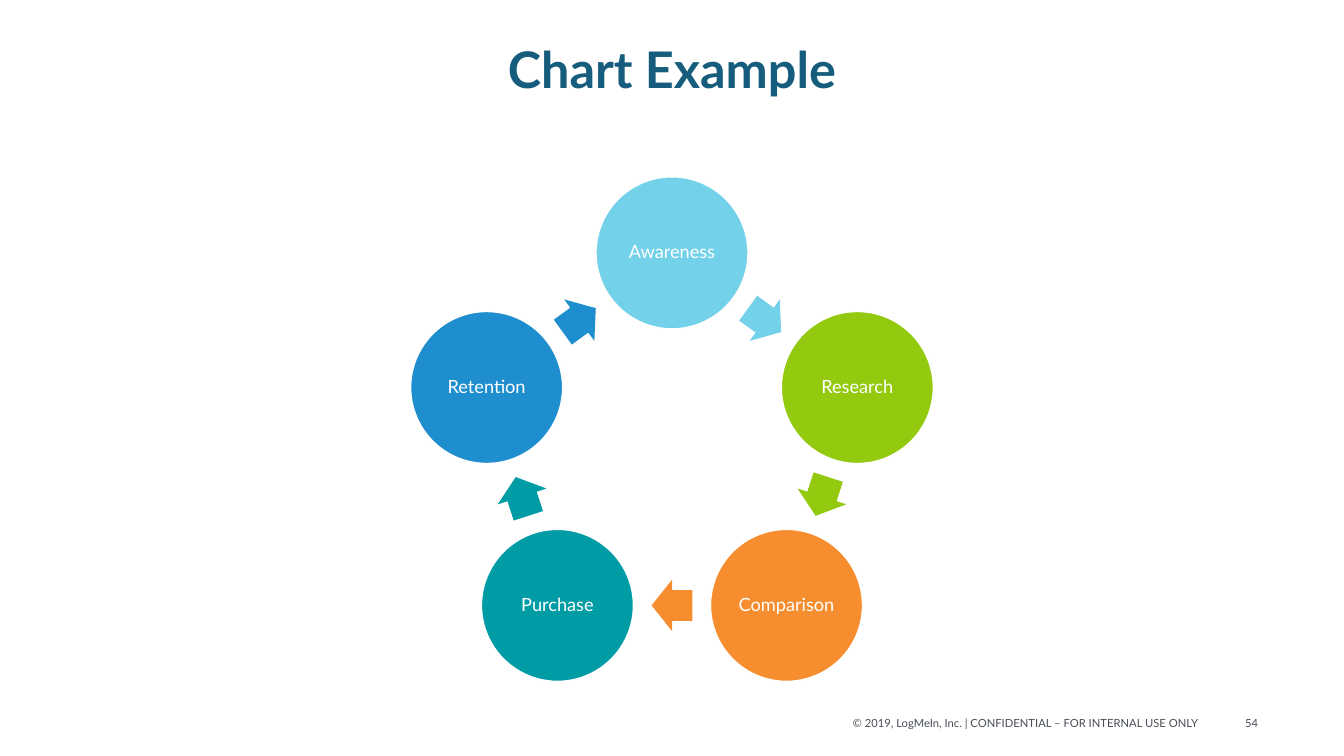
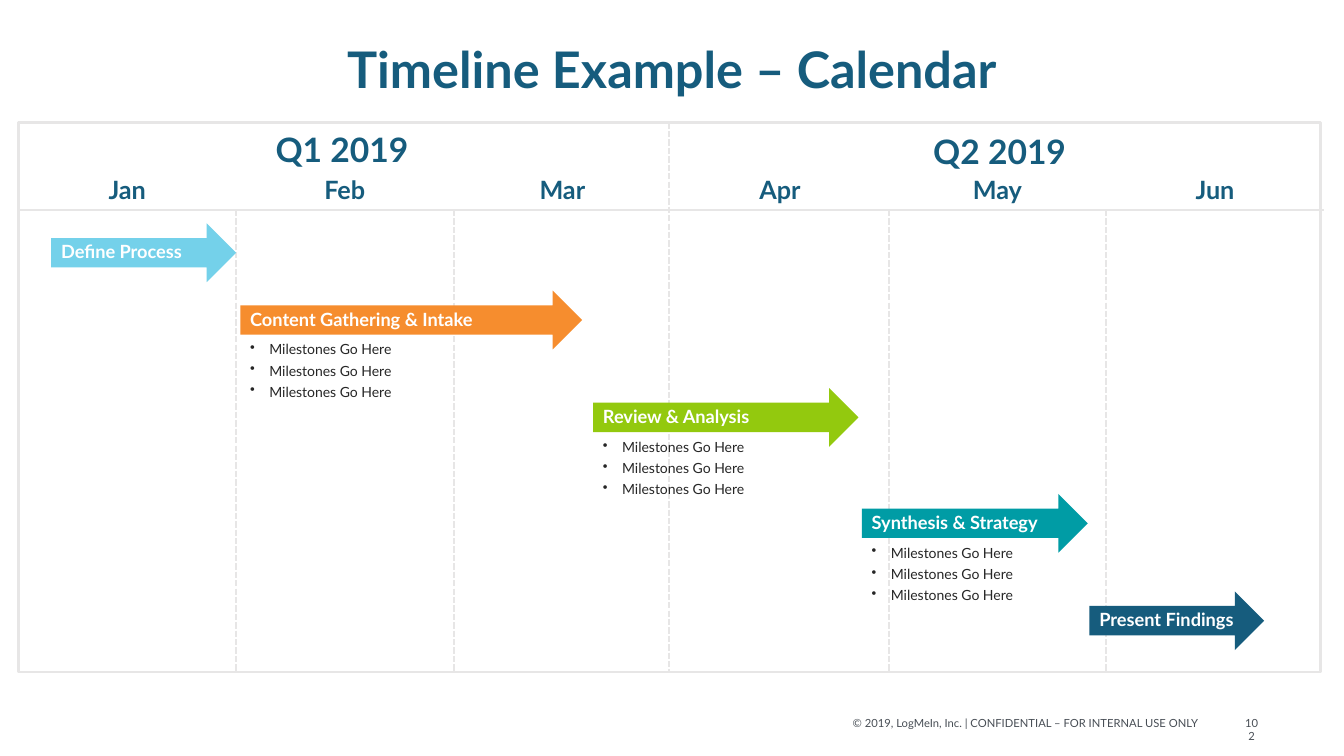
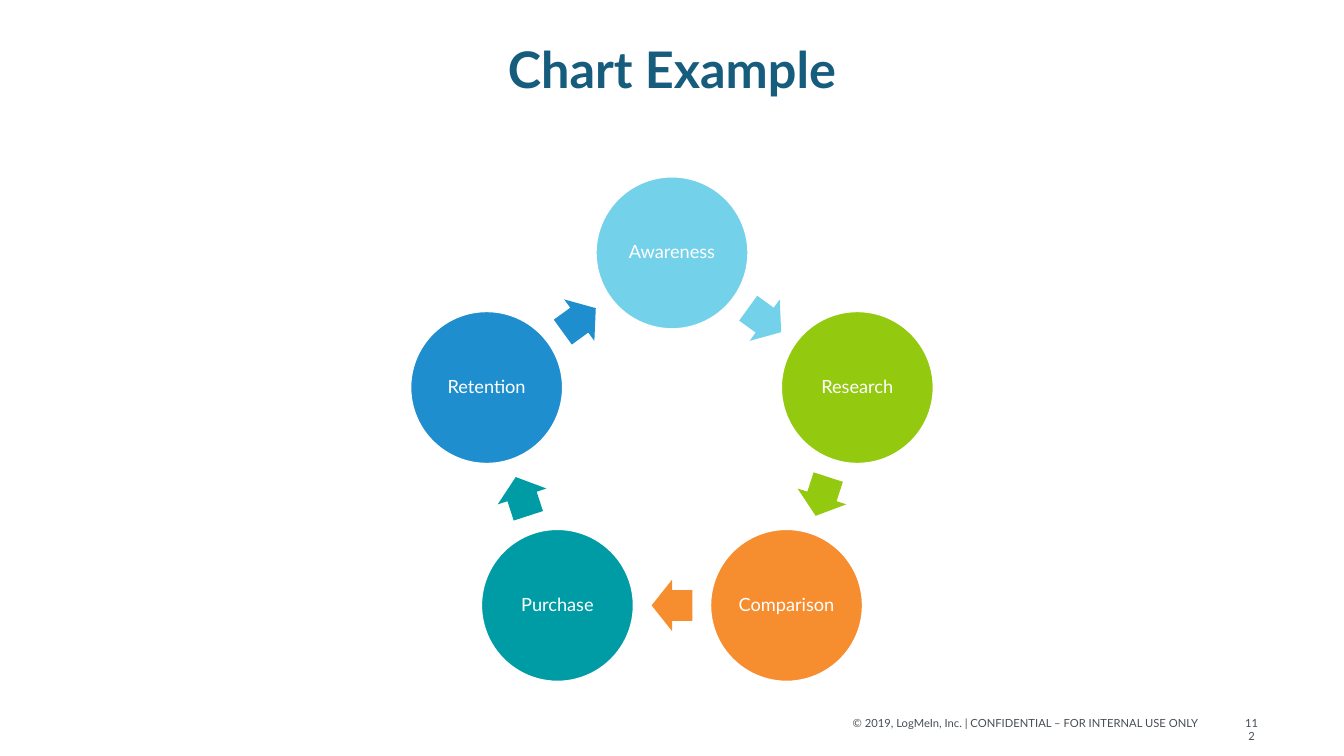
from math import cos, pi, sin

from pptx import Presentation
from pptx.dml.color import RGBColor
from pptx.enum.dml import MSO_LINE
from pptx.enum.shapes import MSO_CONNECTOR, MSO_SHAPE
from pptx.enum.text import MSO_ANCHOR, PP_ALIGN
from pptx.oxml.ns import qn
from pptx.util import Inches, Pt

COLUMNS, ROWS = 160, 90
CELL = Inches(1) // 12

NAVY, SKY, GREEN, ORANGE = "165C7D", "74D1EA", "93C90E", "F68D2E"
TEAL, BLUE, WHITE, RULE = "009CA5", "1F8ECE", "FFFFFF", "E7E6E6"

FORMATS = {
    "title": {"size": Pt(36), "bold": True, "color": NAVY},
    "quarter": {"size": Pt(24), "bold": True, "color": NAVY},
    "month": {"size": Pt(18), "bold": True, "color": NAVY},
    "phase": {"size": Pt(13), "bold": True, "color": WHITE},
    "stage": {"size": Pt(13), "color": WHITE},
    "milestone": {"size": Pt(10), "color": "262626"},
    "footer": {"size": Pt(8), "color": "484E55"},
}

STAGES = [
    ("Awareness", SKY),
    ("Research", GREEN),
    ("Comparison", ORANGE),
    ("Purchase", TEAL),
    ("Retention", BLUE),
]
QUARTERS = [("Q1 2019", 29.7, 14.8), ("Q2 2019", 108, 15)]
MONTHS = ["Jan", "Feb", "Mar", "Apr", "May", "Jun"]
PHASES = [
    ("Define Process", SKY, 6.1, 26.6, 22, 0),
    ("Content Gathering & Intake", ORANGE, 28.6, 34.6, 40.7, 3),
    ("Review & Analysis", GREEN, 70.6, 46.2, 31.6, 3),
    ("Synthesis & Strategy", TEAL, 102.6, 58.8, 26.9, 3),
    ("Present Findings", NAVY, 129.7, 70.4, 20.8, 0),
]


def color(value):
    return RGBColor.from_string(value)


def cells(*lengths):
    return [round(length * CELL) for length in lengths]


class Deck:
    font_name = "Lato"
    footer = "© 2019, LogMeIn, Inc. | CONFIDENTIAL – FOR INTERNAL USE ONLY"

    def __init__(self):
        self.presentation = Presentation()
        self.presentation.slide_width = COLUMNS * CELL
        self.presentation.slide_height = ROWS * CELL
        self.slide = None

    def add_slide(self, title, number):
        self.slide = self.presentation.slides.add_slide(self.presentation.slide_layouts[6])
        self.text([str(number)], "footer", 147, 84.7, 4, 2.9)
        self.text([self.footer], "footer", 99, 84.7, 44.9, 2.9, PP_ALIGN.RIGHT)
        self.text([title], "title", 11, 4.8, 138, 15.5, line_spacing=0.9)

    def fill_text(self, frame, lines, style, **layout):
        frame.word_wrap = True
        for index, line in enumerate(lines):
            paragraph = frame.paragraphs[0] if index == 0 else frame.add_paragraph()
            for name, value in layout.items():
                setattr(paragraph, name, value)
            run = paragraph.add_run()
            run.text = line
            run.font.name = self.font_name
            for name, value in FORMATS[style].items():
                if name == "color":
                    run.font.color.rgb = color(value)
                else:
                    setattr(run.font, name, value)

    def text(self, lines, style, left, top, width, height, alignment=PP_ALIGN.CENTER, **layout):
        box = self.slide.shapes.add_textbox(*cells(left, top, width, height))
        self.fill_text(box.text_frame, lines, style, alignment=alignment, **layout)
        return box

    def bullets(self, lines, style, left, top, width, height):
        box = self.text(lines, style, left, top, width, height, PP_ALIGN.LEFT)
        for index, paragraph in enumerate(box.text_frame.paragraphs):
            properties = paragraph._p.get_or_add_pPr()
            properties.set("marL", str(Inches(0.19)))
            properties.set("indent", str(-Inches(0.19)))
            bullet = properties.makeelement(qn("a:buChar"), {"char": "•"})
            properties.append(bullet)
            if index:
                paragraph.space_before = Pt(3)

    def shape(self, kind, left, top, width, height, fill=None, line=None, weight=1):
        shape = self.slide.shapes.add_shape(kind, *cells(left, top, width, height))
        shape.shadow.inherit = False
        if fill:
            shape.fill.solid()
            shape.fill.fore_color.rgb = color(fill)
        else:
            shape.fill.background()
        if line:
            shape.line.color.rgb = color(line)
            shape.line.width = Pt(weight)
        else:
            shape.line.fill.background()
        return shape

    def rule(self, start, end, weight, dash=None):
        connector = self.slide.shapes.add_connector(
            MSO_CONNECTOR.STRAIGHT, *cells(*start, *end))
        connector.line.color.rgb = color(RULE)
        connector.line.width = Pt(weight)
        if dash:
            connector.line.dash_style = dash
        properties = connector._element.spPr
        properties.append(properties.makeelement(qn("a:effectLst"), {}))
        return connector

    def cycle(self, stages, center_column=80, center_row=53.3, radius=23.2):
        diameter, arrow_length, arrow_width = 18.1, 4.85, 6.1
        step = 2 * pi / len(stages)

        def centered(distance, angle, width, height):
            return (center_column + distance * sin(angle) - width / 2,
                    center_row - distance * cos(angle) - height / 2, width, height)

        for index, (label, fill) in enumerate(stages):
            angle = index * step
            circle = self.shape(
                MSO_SHAPE.OVAL, *centered(radius, angle, diameter, diameter), fill, WHITE)
            frame = circle.text_frame
            frame.vertical_anchor = MSO_ANCHOR.MIDDLE
            for side in ("left", "top", "right", "bottom"):
                setattr(frame, f"margin_{side}", Inches(0.02))
            self.fill_text(frame, [label], "stage", alignment=PP_ALIGN.CENTER, line_spacing=0.9)

            arrow = self.shape(
                MSO_SHAPE.RIGHT_ARROW,
                *centered(radius * cos(step / 2), angle + step / 2, arrow_length, arrow_width),
                fill)
            arrow.adjustments[0] = 0.6
            arrow.rotation = (index + 0.5) * 360 / len(stages)

    def calendar(self, left=2.2, top=14.6, header=25, bottom=80, month_width=25.9):
        frame = self.shape(MSO_SHAPE.RECTANGLE, left, top, 155, bottom - top, None, RULE, 2)
        self.rule((left, header), (left + len(MONTHS) * month_width, header), 2)
        for index, month in enumerate(MONTHS):
            column = left + index * month_width
            self.text([month], "month", column, 20.2, month_width, 4.8)
            if index:
                divider = self.rule((column, header), (column, bottom), 1.5, MSO_LINE.SQUARE_DOT)
                if index == len(MONTHS) // 2:
                    divider.begin_connect(frame, 0)
                    divider.end_connect(frame, 2)
        for quarter, column, row in QUARTERS:
            self.text([quarter], "quarter", column, row, 22, 6)

    def phase(self, label, fill, left, top, width, milestones):
        arrow = self.shape(MSO_SHAPE.RIGHT_ARROW, left, top, width, 7, fill)
        arrow.text_frame.vertical_anchor = MSO_ANCHOR.BOTTOM
        self.fill_text(arrow.text_frame, [label], "phase", alignment=PP_ALIGN.LEFT)
        if milestones:
            self.bullets(["Milestones Go Here"] * milestones, "milestone",
                         left, top + 5.4, width, 8.3)


def main():
    deck = Deck()
    deck.add_slide("Chart Example", 54)
    deck.cycle(STAGES)

    deck.add_slide("Timeline Example – Calendar", 102)
    deck.calendar()
    for phase in PHASES:
        deck.phase(*phase)

    deck.add_slide("Chart Example", 112)
    deck.cycle(STAGES)
    deck.presentation.save("out.pptx")


if __name__ == "__main__":
    main()
